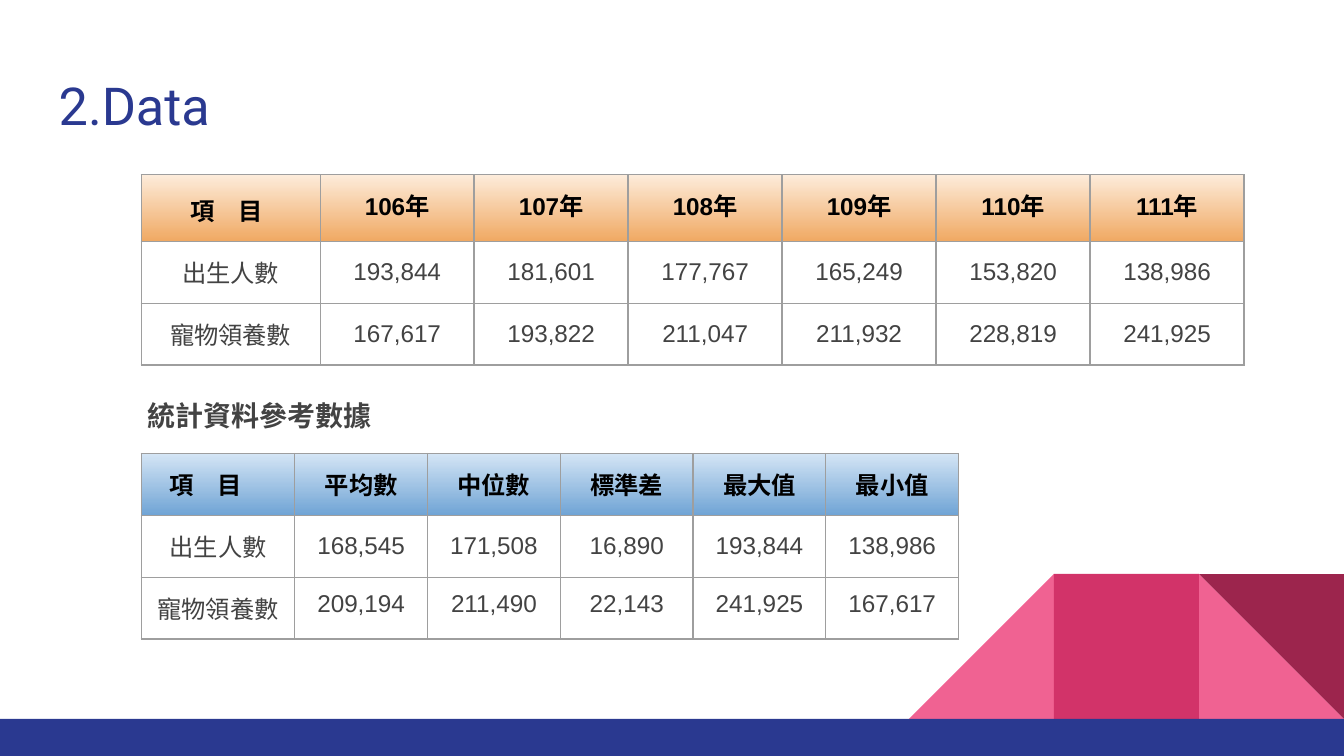
from lxml import etree
from pptx import Presentation
from pptx import util as u
from pptx.dml.color import RGBColor
from pptx.enum import shapes, text
from pptx.oxml import ns

NAVY, GREY, BLACK, BORDER = "2A3990", "434343", "000000", "9E9E9E"
PINK, ROSE, WINE = "F06292", "D23369", "9C254D"
ORANGES, BLUES = ("FDECDB", "F0A963"), ("D4E5F5", "70A4D5")
EAST_ASIAN_FONT = "Noto Sans CJK TC"
INSET = 0.25


def colour(value):
    return RGBColor.from_string(value)


def write(frame, words, size=13, font="Arial", fill=GREY, bold=False, align=None):
    """Put one formatted paragraph into a text frame."""
    paragraph = frame.paragraphs[0]
    paragraph.alignment = align
    run = paragraph.add_run()
    run.text = words
    run.font.size = u.Pt(size)
    run.font.name = font
    run.font.bold = bold
    run.font.color.rgb = colour(fill)
    east_asian = etree.SubElement(run.font._element, ns.qn("a:ea"))
    east_asian.set("typeface", EAST_ASIAN_FONT)


def set_margins(box, extra_top=0, extra_right=0):
    box.margin_left = box.margin_bottom = u.Cm(INSET)
    box.margin_top = u.Cm(INSET + extra_top)
    box.margin_right = u.Cm(INSET + extra_right)


def add_borders(cell):
    properties = cell._tc.get_or_add_tcPr()
    for side in ("lnL", "lnR", "lnT", "lnB"):
        line = etree.SubElement(properties, ns.qn(f"a:{side}"), w=str(u.Pt(0.75)))
        solid = etree.SubElement(line, ns.qn("a:solidFill"))
        etree.SubElement(solid, ns.qn("a:srgbClr"), val=BORDER)


class DataSlide:
    def __init__(self, presentation):
        self.slide = presentation.slides.add_slide(presentation.slide_layouts[6])

    def shape(self, kind, left, top, width, height, fill, flip=False, rotation=0):
        shape = self.slide.shapes.add_shape(
            kind, u.Cm(left), u.Cm(top), u.Cm(width), u.Cm(height))
        shape.shadow.inherit = False
        shape.fill.solid()
        shape.fill.fore_color.rgb = colour(fill)
        shape.line.fill.background()
        shape.rotation = rotation
        if flip:
            shape._element.spPr.xfrm.set("flipH", "1")

    def text(self, words, left, top, width, height, **style):
        box = self.slide.shapes.add_textbox(
            u.Cm(left), u.Cm(top), u.Cm(width), u.Cm(height))
        frame = box.text_frame
        frame.word_wrap = True
        set_margins(frame)
        write(frame, words, **style)

    def table(self, rows, left, top, widths, heights, gradient, top_cells, corner):
        """top_cells(row, column) tells which cells hang from the top;
        corner holds the extra margins of the first header cell."""
        table = self.slide.shapes.add_table(
            len(rows), len(widths), u.Cm(left), u.Cm(top),
            u.Cm(sum(widths)), u.Cm(sum(heights))).table
        table.first_row = table.horz_banding = False
        for column, width in zip(table.columns, widths):
            column.width = u.Cm(width)
        for row, height in zip(table.rows, heights):
            row.height = u.Cm(height)
        for r, values in enumerate(rows):
            header = r == 0
            for c, words in enumerate(values):
                cell = table.cell(r, c)
                set_margins(cell, *(corner if r == c == 0 else ()))
                cell.vertical_anchor = (
                    text.MSO_ANCHOR.TOP if top_cells(r, c) else text.MSO_ANCHOR.MIDDLE)
                add_borders(cell)
                if header:
                    cell.fill.gradient()
                    cell.fill.gradient_angle = 270
                    for stop, value in zip(cell.fill.gradient_stops, gradient):
                        stop.color.rgb = colour(value)
                else:
                    cell.fill.background()
                write(cell.text_frame, words, bold=header,
                      fill=BLACK if header else GREY, align=text.PP_ALIGN.CENTER)


def main():
    presentation = Presentation()
    presentation.slide_width, presentation.slide_height = u.Cm(25.4), u.Cm(14.29)
    page = DataSlide(presentation)

    # Corner decoration and bottom band
    side, floor = 2.74, 13.59
    roof = floor - side
    triangle = shapes.MSO_SHAPE.RIGHT_TRIANGLE
    rectangle = shapes.MSO_SHAPE.RECTANGLE
    right, middle, left = (25.4 - n * side for n in (1, 2, 3))
    page.shape(triangle, right, roof, side, side, PINK)
    page.shape(triangle, left, roof, side, side, PINK, flip=True)
    page.shape(rectangle, middle, roof, side, side, ROSE)
    page.shape(triangle, right, roof, side, side, WINE, rotation=180)
    page.shape(rectangle, 0, floor, 25.4, 0.7, NAVY)

    # Title
    page.text("2.Data", 0.86, 1.14, 23.67, 1.68, size=28, font="Roboto", fill=NAVY)

    # Yearly figures
    yearly = [
        ["項　目"] + [f"{year}年" for year in range(106, 112)],
        ["出生人數", "193,844", "181,601", "177,767", "165,249", "153,820", "138,986"],
        ["寵物領養數", "167,617", "193,822", "211,047", "211,932", "228,819", "241,925"],
    ]
    page.table(yearly, 2.67, 3.3, [3.38] + [2.91] * 6, [1.26, 1.17, 1.17], ORANGES,
               lambda r, c: r == 0, (0.08, 0.15))

    # Summary statistics
    summary = [
        ["項　目", "平均數", "中位數", "標準差", "最大值", "最小值"],
        ["出生人數", "168,545", "171,508", "16,890", "193,844", "138,986"],
        ["寵物領養數", "209,194", "211,490", "22,143", "241,925", "167,617"],
    ]
    page.table(summary, 2.67, 8.57, [2.9] + [2.51] * 5, [1.17] * 3, BLUES,
               lambda r, c: r != 1 or c == 0, (0, 0.46))
    page.text("統計資料參考數據", 2.54, 7.29, 5.36, 0.86,
              size=15, font=EAST_ASIAN_FONT, bold=True)

    presentation.save("out.pptx")


if __name__ == "__main__":
    main()
